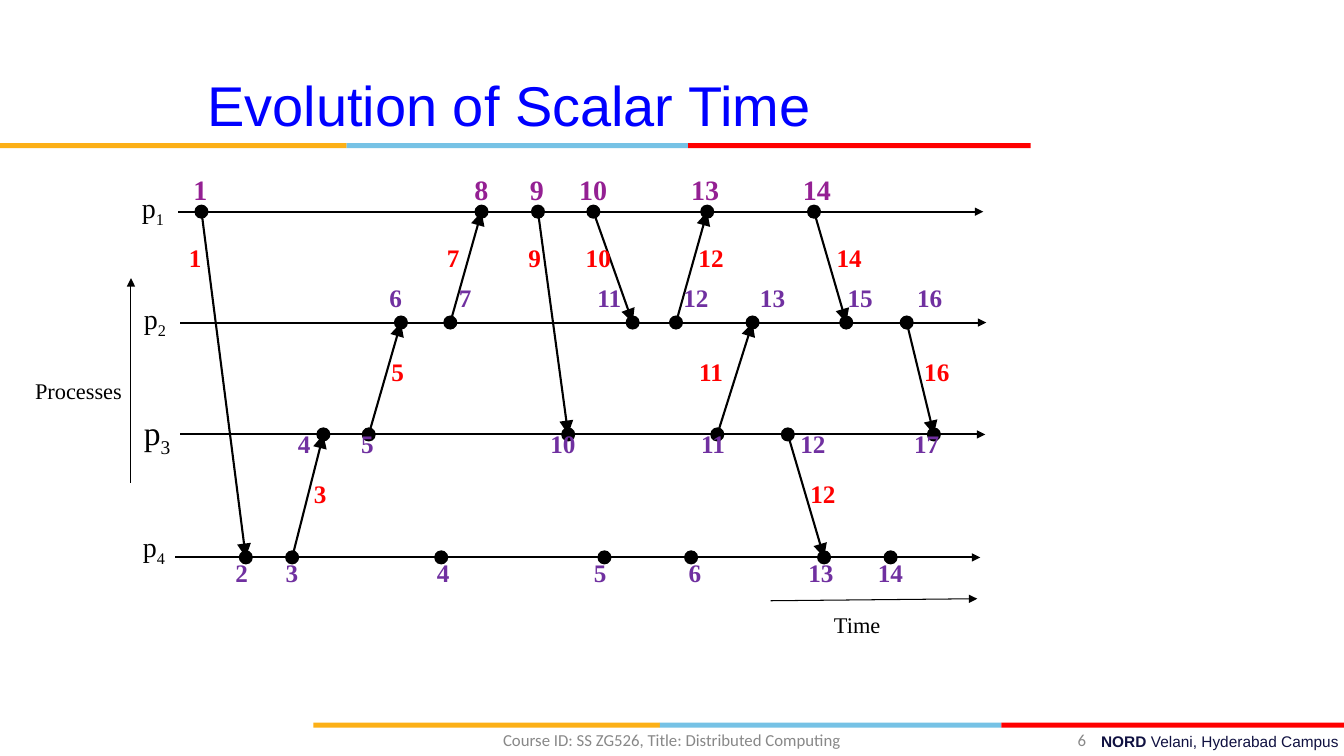
import lxml.etree
import pptx
import pptx.dml.color
import pptx.enum.shapes
import pptx.enum.text
import pptx.oxml.ns
import pptx.util

# The grid has cells of one inch: 13.34 columns by 7.5 rows
COLUMNS, ROWS = 13.34, 7.5
DOT = 0.14
SERIF = "Times New Roman"
BLACK, GREY, RED = "000000", "888888", "FF0000"
PURPLE, MAGENTA = "7030A0", "942093"
ALIGN = pptx.enum.text.PP_ALIGN
ANCHOR = pptx.enum.text.MSO_ANCHOR

# Each process: height of its lane, start and end of the lane, label size, label place, event columns
PROCESSES = [
    (2.1, 1.77, 9.76, 20, (1.31, 1.84), [2.0, 4.78, 5.34, 5.89, 7.02, 8.08]),
    (3.2, 1.79, 9.79, 20, (1.33, 2.94), [3.98, 4.47, 6.28, 6.71, 7.47, 8.4, 9.0]),
    (4.31, 1.79, 9.78, 24, (1.33, 4.04), [3.21, 3.66, 5.64, 7.12, 7.82, 9.27]),
    (5.53, 1.74, 9.73, 20, (1.32, 5.2), [2.44, 2.9, 4.38, 6.0, 6.86, 8.18, 8.84]),
]

# Messages: (process, event) of the sender, then of the receiver
MESSAGES = [
    ((0, 0), (3, 0)), ((3, 1), (2, 0)), ((2, 1), (1, 0)), ((1, 1), (0, 1)),
    ((0, 2), (2, 2)), ((0, 3), (1, 2)), ((1, 3), (0, 4)), ((2, 3), (1, 4)),
    ((0, 5), (1, 5)), ((1, 6), (2, 5)), ((2, 4), (3, 5)),
]

# Timestamps: top of the row, size, colour, then each number with its centre column
TIMESTAMPS = [
    (1.66, 20, MAGENTA, {1.99: 1, 4.78: 8, 5.33: 9, 5.89: 10, 7.0: 13, 8.11: 14}),
    (2.35, 18, RED, {1.94: 1, 4.5: 7, 5.31: 9, 5.94: 10, 7.06: 12, 8.43: 14}),
    (2.75, 18, PURPLE, {3.93: 6, 4.62: 7, 6.05: 11, 6.91: 12, 7.67: 13, 8.54: 15, 9.23: 16}),
    (3.49, 18, RED, {3.95: 5, 7.06: 11, 9.3: 16}),
    (4.2, 18, PURPLE, {3.02: 4, 3.65: 5, 5.59: 10, 7.08: 11, 8.07: 12, 9.2: 17}),
    (4.7, 18, RED, {3.18: 3, 8.17: 12}),
    (5.48, 18, PURPLE, {2.4: 2, 2.9: 3, 4.4: 4, 5.96: 5, 6.9: 6, 8.15: 13, 8.84: 14}),
]


def grid(*cells):
    return [pptx.util.Inches(cell) for cell in cells]


def colour(value):
    return pptx.dml.color.RGBColor.from_string(value)


def add_child(parent, tag, **attributes):
    child = lxml.etree.SubElement(parent, pptx.oxml.ns.qn(tag))
    for name, value in attributes.items():
        child.set(name, str(value))
    return child


def add_run(paragraph, text, size, font, ink, bold=False, subscript=False):
    run = paragraph.add_run()
    run.text = text
    run.font.size = pptx.util.Pt(size)
    run.font.name = font
    run.font.bold = bold
    run.font.color.rgb = colour(ink)
    if subscript:
        run.font._element.set("baseline", "-25000")


def add_text(slide, text, box, size=16, font=SERIF, ink=BLACK, bold=False, subscript="",
             lead="", align=ALIGN.LEFT, anchor=ANCHOR.TOP, inset=0.1, wrap=True):
    frame = slide.shapes.add_textbox(*grid(*box)).text_frame
    frame.word_wrap = wrap
    frame.vertical_anchor = anchor
    frame.margin_left = frame.margin_right = pptx.util.Inches(inset)
    paragraph = frame.paragraphs[0]
    paragraph.alignment = align
    if lead:
        add_run(paragraph, lead, size, font, ink, bold=True)
    add_run(paragraph, text, size, font, ink, bold)
    if subscript:
        add_run(paragraph, subscript, size, font, ink, bold, subscript=True)
    return paragraph


def add_filled(slide, kind, box, fill):
    shape = slide.shapes.add_shape(kind, *grid(*box))
    shape.shadow.inherit = False
    shape.fill.solid()
    shape.fill.fore_color.rgb = colour(fill)
    shape.line.fill.background()


def add_arrow(slide, start, end, width=1.5, head="med"):
    straight = pptx.enum.shapes.MSO_CONNECTOR.STRAIGHT
    arrow = slide.shapes.add_connector(straight, *grid(*start, *end))
    arrow.line.width = pptx.util.Pt(width)
    arrow.line.color.rgb = colour(BLACK)
    add_child(arrow.line._get_or_add_ln(), "a:tailEnd", type="triangle", w=head, len=head)
    add_child(arrow._element.spPr, "a:effectLst")


def add_stripe(slide, left, top):
    """Three bands in a row, the first a little wider."""
    for fill, width in (("FCB017", 3.44), ("76C2E5", 3.39), (RED, 3.4)):
        add_filled(slide, pptx.enum.shapes.MSO_SHAPE.RECTANGLE, (left, top, width, 0.05), fill)
        left += width


def add_timestamps(slide, top, size, ink, numbers):
    """One row of numbers, each centred on its own tab stop."""
    left, inset = 1.5, 0.1
    text = "".join(f"\t{number}" for number in numbers.values())
    paragraph = add_text(slide, text, (left, top, 8.2, 0.4), size=size, ink=ink, bold=True)
    tabs = add_child(paragraph._p.get_or_add_pPr(), "a:tabLst")
    for column in numbers:
        add_child(tabs, "a:tab", pos=pptx.util.Inches(column - left - inset), algn="ctr")


def add_diagram(slide):
    # Process lanes with their labels
    for number, (row, start, end, size, place, _) in enumerate(PROCESSES, 1):
        add_arrow(slide, (start, row), (end, row))
        add_text(slide, "p", (*place, 0.64, 0.47), size=size, subscript=str(number))
    # Messages between events
    for ends in MESSAGES:
        sender, receiver = [(PROCESSES[p][5][event], PROCESSES[p][0]) for p, event in ends]
        add_arrow(slide, sender, receiver, head="lg")
    # Events
    for row, *_, events in PROCESSES:
        for column in events:
            box = (column - DOT / 2, row - DOT / 2, DOT, DOT)
            add_filled(slide, pptx.enum.shapes.MSO_SHAPE.OVAL, box, BLACK)
    # Axes
    add_arrow(slide, (7.65, 5.96), (9.7, 5.94), width=0.75)
    add_arrow(slide, (1.3, 4.79), (1.3, 2.76), width=0.75)
    add_text(slide, "Time", (8.18, 6.01, 1.04, 0.39))
    add_text(slide, "Processes", (0.25, 3.69, 1.2, 0.39))
    # Scalar times
    for timestamps in TIMESTAMPS:
        add_timestamps(slide, *timestamps)


def main():
    presentation = pptx.Presentation()
    presentation.slide_width, presentation.slide_height = grid(COLUMNS, ROWS)
    slide = presentation.slides.add_slide(presentation.slide_layouts[6])

    # Title and stripes
    add_stripe(slide, 0, 1.42)
    add_stripe(slide, COLUMNS - 10.23, 7.17)
    add_text(slide, "Evolution of Scalar Time", (0.44, 0.41, 9.22, 1.25), size=40, font="Arial",
             ink="0000FF", align=ALIGN.CENTER, anchor=ANCHOR.MIDDLE, inset=0.05)

    # Footer
    add_text(slide, "Velani, Hyderabad Campus", (4.78, 7.21, 8.56, 0.28), size=11, font="Arial",
             ink="101141", lead="NORD ", align=ALIGN.RIGHT, inset=0.05)
    add_text(slide, "Course ID: SS ZG526, Title: Distributed Computing", (4.42, 7.19, 4.5, 0.3),
             size=12, font="Calibri", ink=GREY, align=ALIGN.CENTER, anchor=ANCHOR.MIDDLE, inset=0.05)
    add_text(slide, "6", (10.03, 7.19, 0.8, 0.3), size=12, font="Calibri", ink=GREY,
             align=ALIGN.RIGHT, anchor=ANCHOR.MIDDLE, inset=0.05)

    add_diagram(slide)
    presentation.save("out.pptx")


if __name__ == "__main__":
    main()
